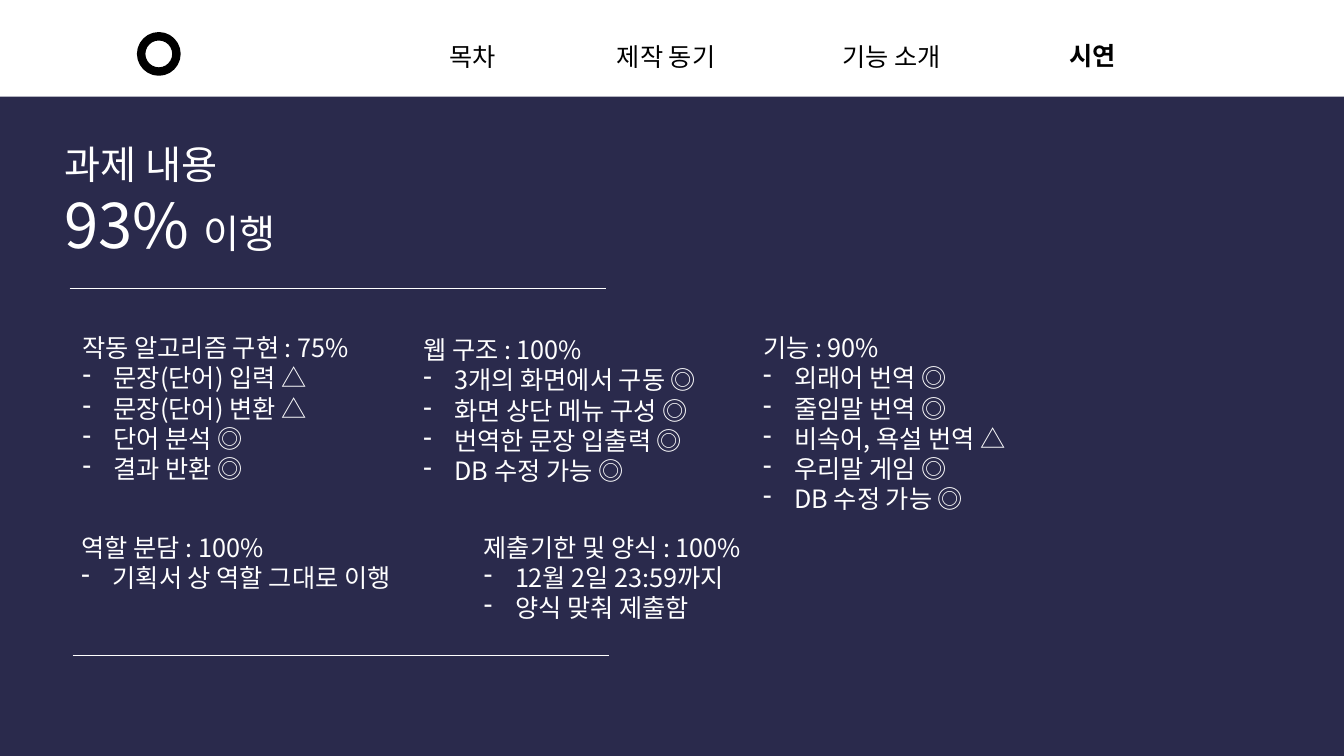
from pptx import Presentation
from pptx import util as u
from pptx.dml.color import RGBColor
from pptx.enum import shapes, text
from pptx.oxml.ns import qn
from lxml import etree

NAVY = RGBColor(0x2A, 0x2A, 0x4C)
WHITE = RGBColor(0xFF, 0xFF, 0xFF)
BLACK = RGBColor(0, 0, 0)


class ReportSlide:
    """Draws the assignment report in one consistent style."""

    font = "Noto Sans CJK KR"
    body_size = 18

    def __init__(self, deck):
        self.slide = deck.slides.add_slide(deck.slide_layouts[5])
        self.shapes = self.slide.shapes

    def style(self, run, size, color, bold=False):
        run.font.size = u.Pt(size)
        run.font.color.rgb = color
        run.font.bold = bold
        run.font.name = self.font
        etree.SubElement(run.font._element, qn("a:ea"), typeface=self.font)

    def place(self, item, left, top, width, height):
        item.left, item.top = u.Inches(left), u.Inches(top)
        item.width, item.height = u.Inches(width), u.Inches(height)

    def band(self, left, top, width, height):
        band = self.shapes.add_shape(shapes.MSO_SHAPE.RECTANGLE, 0, 0, 0, 0)
        self.place(band, left, top, width, height)
        band.shadow.inherit = False
        band.fill.solid()
        band.fill.fore_color.rgb = NAVY
        band.line.fill.background()
        self.shapes._spTree.insert(2, band._element)

    def ring(self, left, top, size):
        ring = self.shapes.add_shape(shapes.MSO_SHAPE.OVAL, 0, 0, 0, 0)
        self.place(ring, left, top, size, size)
        ring.shadow.inherit = False
        ring.fill.background()
        ring.line.color.rgb = BLACK
        ring.line.width = u.Pt(6)

    def rule(self, left, top, length):
        rule = self.shapes.add_connector(
            shapes.MSO_CONNECTOR.STRAIGHT, u.Inches(left), u.Inches(top),
            u.Inches(left + length), u.Inches(top))
        rule.line.color.rgb = WHITE
        rule.line.width = u.Pt(0.5)
        etree.SubElement(rule._element.spPr, qn("a:effectLst"))

    def title(self, left, top, width, height, lines):
        title = self.shapes.title
        self.place(title, left, top, width, height)
        frame = title.text_frame
        frame.text = "\n".join("".join(part for part, _ in line) for line in lines)
        frame.word_wrap = False
        frame.auto_size = text.MSO_AUTO_SIZE.NONE
        frame.vertical_anchor = text.MSO_ANCHOR.TOP
        for paragraph, line in zip(frame.paragraphs, lines):
            paragraph.alignment = text.PP_ALIGN.LEFT
            paragraph.text = line[0][0]
            for part, _ in line[1:]:
                paragraph.add_run().text = part
            for run, (_, size) in zip(paragraph.runs, line):
                self.style(run, size, WHITE)

    def text_box(self, left, top, width, height, lines, color, bold=False):
        box = self.shapes.add_textbox(0, 0, 0, 0)
        self.place(box, left, top, width, height)
        frame = box.text_frame
        frame.text = "\n".join(lines)
        frame.word_wrap = False
        frame.auto_size = text.MSO_AUTO_SIZE.SHAPE_TO_FIT_TEXT
        for paragraph in frame.paragraphs[1:]:
            props = paragraph._p.get_or_add_pPr()
            props.set("marL", str(u.Inches(0.31)))
            props.set("indent", str(-u.Inches(0.31)))
            etree.SubElement(props, qn("a:buChar"), char="-")
        for paragraph in frame.paragraphs:
            self.style(paragraph.runs[0], self.body_size, color, bold)


def main():
    deck = Presentation()
    deck.slide_width, deck.slide_height = u.Inches(13.33), u.Inches(7.5)
    report = ReportSlide(deck)
    report.band(0, 0.96, 13.33, 6.54)
    report.ring(1.4, 0.36, 0.35)

    menu = [("목차", 4.36, 0.68), ("제작 동기", 6.02, 1.3),
            ("기능 소개", 8.26, 1.22), ("시연", 10.51, 0.71)]
    for label, left, width in menu:
        current = label == "시연"
        report.text_box(left, 0.35 if current else 0.36, width, 0.4,
                        [label], BLACK, current)

    report.title(0.54, 1.34, 2.65, 1.31,
                 [[("과제 내용", 28)], [("93% ", 44), ("이행", 28)]])
    report.rule(0.69, 2.86, 5.32)
    report.rule(0.72, 6.5, 5.32)

    sections = [
        (0.72, 3.25, 3.29, ["작동 알고리즘 구현 : 75%", "문장(단어) 입력 △",
                            "문장(단어) 변환 △", "단어 분석 ◎", "결과 반환 ◎"]),
        (4.1, 3.27, 3.27, ["웹 구조 : 100%", "3개의 화면에서 구동 ◎",
                           "화면 상단 메뉴 구성 ◎", "번역한 문장 입출력 ◎",
                           "DB 수정 가능 ◎"]),
        (7.47, 3.25, 2.89, ["기능 : 90%", "외래어 번역 ◎", "줄임말 번역 ◎",
                            "비속어, 욕설 번역 △", "우리말 게임 ◎",
                            "DB 수정 가능 ◎"]),
        (0.71, 5.23, 3.65, ["역할 분담 : 100%", "기획서 상 역할 그대로 이행"]),
        (4.7, 5.23, 3.2, ["제출기한 및 양식 : 100%", "12월 2일 23:59까지",
                          "양식 맞춰 제출함"]),
    ]
    for left, top, width, lines in sections:
        report.text_box(left, top, width, 0.1 + 0.3 * len(lines), lines, WHITE)

    deck.save("out.pptx")


if __name__ == "__main__":
    main()
